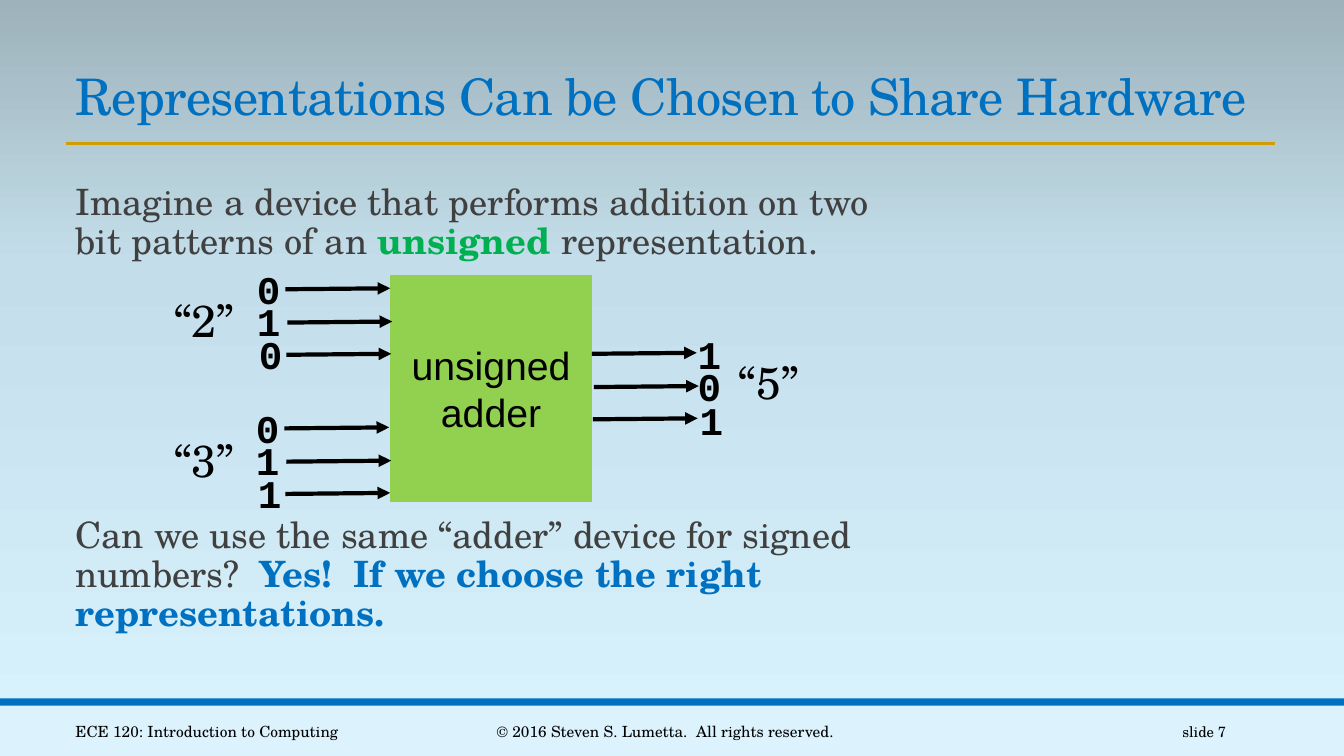
from lxml import etree
from pptx import Presentation
from pptx.dml.color import RGBColor
from pptx.enum.shapes import MSO_CONNECTOR, MSO_SHAPE
from pptx.enum.text import MSO_ANCHOR, PP_ALIGN
from pptx.oxml.ns import qn
from pptx.util import Emu, Pt

PX = 9144  # 100 px to the inch
WIDTH, HEIGHT = 1333, 750

STRAIGHT = MSO_CONNECTOR.STRAIGHT
RECTANGLE = MSO_SHAPE.RECTANGLE
TOP, MIDDLE, BOTTOM = MSO_ANCHOR.TOP, MSO_ANCHOR.MIDDLE, MSO_ANCHOR.BOTTOM
LEFT, CENTER, RIGHT = PP_ALIGN.LEFT, PP_ALIGN.CENTER, PP_ALIGN.RIGHT

BLACK = RGBColor(0x00, 0x00, 0x00)
GRAY = RGBColor(0x40, 0x40, 0x40)
BLUE = RGBColor(0x00, 0x70, 0xC0)
GREEN = RGBColor(0x00, 0xB0, 0x50)
GOLD = RGBColor(0xD0, 0x9E, 0x00)
ADDER_GREEN = RGBColor(0x92, 0xD0, 0x50)
FOOTER_BLUE = RGBColor(0xDC, 0xF3, 0xFD)
SKY_STOPS = (
    (0, RGBColor(0xDA, 0xF4, 0xFF)),
    (65, RGBColor(0xC3, 0xDE, 0xEA)),
    (100, RGBColor(0x9D, 0xB2, 0xBA)),
)

SERIF, SANS, MONO = "TeX Gyre Schola", "Arial", "Courier New"

# Offsets of the three bits of a number
DIGIT_OFFSETS = ((0, 0), (0, 32), (2, 65))
ARROW_OFFSETS = ((0, 0), (2, 33), (1, 65))
ARROW_LENGTH = 104


def px(*lengths):
    return [Emu(length * PX) for length in lengths]


def paint_background(slide):
    fill = slide.background.fill
    fill.gradient()
    fill.gradient_angle = 90
    stops = slide._element.find(".//" + qn("a:gsLst"))
    stops.clear()
    for position, color in SKY_STOPS:
        stop = etree.SubElement(stops, qn("a:gs"), pos=str(position * 1000))
        etree.SubElement(stop, qn("a:srgbClr"), val=str(color))


def write_text(shape, paragraphs, size=28, font=SERIF, color=BLACK, bold=False,
               align=LEFT, anchor=TOP, line_spacing=None, tracking=None,
               side_inset=10):
    """Each paragraph is a list of runs: a string, or (string, bold color)."""
    frame = shape.text_frame
    frame.word_wrap = True
    frame.vertical_anchor = anchor
    frame.margin_left, frame.margin_right = px(side_inset, side_inset)
    for index, runs in enumerate(paragraphs):
        paragraph = frame.add_paragraph() if index else frame.paragraphs[0]
        paragraph.alignment = align
        paragraph.line_spacing = line_spacing
        for part in runs:
            text, accent = (part, None) if isinstance(part, str) else part
            run = paragraph.add_run()
            run.text = text
            run.font.size = Pt(size)
            run.font.name = font
            run.font.bold = bold or accent is not None
            run.font.color.rgb = accent or color
            if tracking is not None:
                run._r.get_or_add_rPr().set("spc", str(tracking))


def add_text(slide, box, *runs, **text_format):
    write_text(slide.shapes.add_textbox(*px(*box)), [runs], **text_format)


def add_block(slide, box, color):
    shape = slide.shapes.add_shape(RECTANGLE, *px(*box))
    shape.shadow.inherit = False
    shape.fill.solid()
    shape.fill.fore_color.rgb = color
    shape.line.fill.background()
    return shape


def add_line(slide, ends, color, width, arrow=False):
    connector = slide.shapes.add_connector(STRAIGHT, *px(*ends))
    connector.line.color.rgb = color
    connector.line.width = Pt(width)
    if arrow:
        etree.SubElement(connector.line._get_or_add_ln(), qn("a:tailEnd"),
                         type="triangle")
    etree.SubElement(connector._element.spPr, qn("a:effectLst"))


def add_number(slide, bits, label, digits_at, label_at, arrows_at):
    """One binary number: its bits, its quoted value and its three wires."""
    left, top = digits_at
    for bit, (dx, dy) in zip(bits, DIGIT_OFFSETS):
        add_text(slide, (left + dx, top + dy, 39, 57), bit, font=MONO, bold=True)
    add_text(slide, (*label_at, 97, 64), label, size=32)
    left, top = arrows_at
    for dx, dy in ARROW_OFFSETS:
        x, y = left + dx, top + dy
        add_line(slide, (x, y, x + ARROW_LENGTH, y - 1), BLACK, 3, arrow=True)


def add_footer(slide):
    add_block(slide, (0, 700, WIDTH, 50), FOOTER_BLUE)
    add_block(slide, (0, 693, WIDTH, 7), BLUE)
    for left, width, text, size, align in (
        (65, 325, "ECE 120: Introduction to Computing", 11, LEFT),
        (403, 514, "© 2016 Steven S. Lumetta.  All rights reserved.", 11, CENTER),
        (1083, 143, "slide 7", 10.5, RIGHT),
    ):
        add_text(slide, (left, 706, width, 40), text, size=size, align=align,
                 anchor=MIDDLE)


def main():
    presentation = Presentation()
    presentation.slide_width, presentation.slide_height = px(WIDTH, HEIGHT)
    slide = presentation.slides.add_slide(presentation.slide_layouts[6])
    paint_background(slide)
    add_footer(slide)

    # Title
    add_line(slide, (65, 142, 1265, 142), GOLD, 2)
    add_text(slide, (65, 59, 1201, 71),
             "Representations Can be Chosen to Share Hardware", size=36,
             color=BLUE, anchor=BOTTOM, line_spacing=0.85, tracking=-50)

    # Statement and question
    body = {"size": 25.9, "color": GRAY, "line_spacing": 0.9, "side_inset": 0}
    add_text(slide, (75, 178, 842, 90),
             "Imagine a device that performs addition on two bit patterns of an ",
             ("unsigned ", GREEN), "representation.", **body)
    add_text(slide, (75, 508, 842, 134),
             "Can we use the same “adder” device for signed numbers?  ",
             ("Yes!  If we choose the right representations.", BLUE), **body)

    # Adder with two inputs and one output
    adder = add_block(slide, (387, 273, 200, 225), ADDER_GREEN)
    write_text(adder, [["unsigned"], ["adder"]], font=SANS, align=CENTER,
               anchor=MIDDLE)
    add_number(slide, "010", "“2”", (245, 258), (163, 286), (283, 287))
    add_number(slide, "011", "“3”", (244, 396), (163, 424), (282, 425))
    add_number(slide, "101", "“5”", (682, 323), (723, 347), (587, 351))

    presentation.save("out.pptx")


if __name__ == "__main__":
    main()
